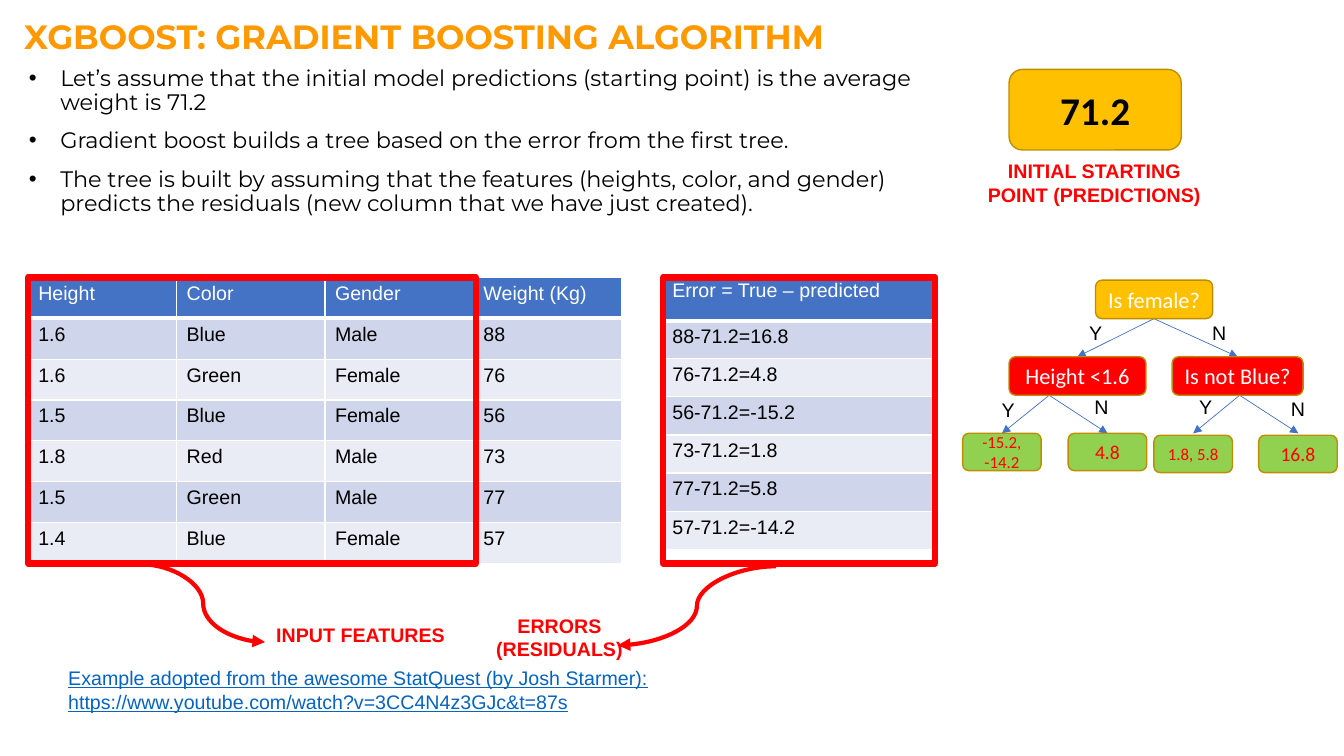
from dataclasses import dataclass
from typing import NamedTuple

from lxml import etree
from pptx import Presentation
from pptx import util as u
from pptx.dml import color as dml
from pptx.enum import shapes, text
from pptx.oxml import ns

RED, AMBER, GREEN, BLUE = "FF0000", "FFC000", "92D050", "4472C4"
WHITE, BLACK, GOLD, PALE, PALER = "FFFFFF", "000000", "BD8E00", "CFD5EA", "E9EBF5"

TITLE = {"name": "Montserrat", "size": u.Pt(24), "bold": True, "color": "FF9900"}
BULLET = {"name": "Montserrat", "size": u.Pt(16), "color": BLACK}
BODY = {"name": "Arial", "size": u.Pt(14), "bold": False, "color": BLACK}
HEADER = {**BODY, "color": WHITE}
CAPTION = {**BODY, "bold": True, "color": RED}
SOURCE = {**BODY, "underline": True, "color": "0563C1"}
QUESTION = {"name": "Calibri", "size": u.Pt(16), "color": WHITE}
LEAF = {**QUESTION, "size": u.Pt(14), "color": RED}
SMALL_LEAF = {**LEAF, "size": u.Pt(12)}
PREDICTION = {**QUESTION, "size": u.Pt(28), "bold": True, "color": BLACK}

CENTER = text.PP_ALIGN.CENTER


class Area(NamedTuple):
    """Left, top, width and height in centimetres."""
    left: float
    top: float
    width: float
    height: float

    def lengths(self) -> list:
        return [u.Cm(value) for value in self]


@dataclass
class Label:
    words: str
    area: Area
    style: dict
    align: text.PP_ALIGN | None = None
    wrap: bool = True


@dataclass
class Node:
    words: str
    area: Area
    fill: str
    style: dict


@dataclass
class Arrow:
    start: tuple
    end: tuple
    color: str = BLUE
    weight: float = 0.5
    kind: shapes.MSO_CONNECTOR = shapes.MSO_CONNECTOR.STRAIGHT


@dataclass
class Grid:
    left: float
    top: float
    column: float
    header: float
    row: float
    rows: list


def rgb(value: str) -> dml.RGBColor:
    return dml.RGBColor.from_string(value)


def add_child(parent, tag: str, **attributes: str):
    return etree.SubElement(parent, ns.qn(tag), attributes)


def format_font(font, style: dict) -> None:
    for key, value in style.items():
        if key == "color":
            font.color.rgb = rgb(value)
        else:
            setattr(font, key, value)


def write(frame, words: str, style: dict, align=None) -> None:
    for index, line in enumerate(words.split("\n")):
        para = frame.paragraphs[0] if index == 0 else frame.add_paragraph()
        para.alignment = align
        span = para.add_run()
        span.text = line
        format_font(span.font, style)


def draw_label(page, label: Label):
    frame = page.shapes.add_textbox(*label.area.lengths()).text_frame
    frame.word_wrap = label.wrap
    write(frame, label.words, label.style, label.align)
    return frame


def draw_bullets(page, label: Label) -> None:
    frame = draw_label(page, label)
    for index, para in enumerate(frame.paragraphs):
        para.line_spacing = 0.9
        if index:
            para.space_before = u.Pt(10)
        props = para._p.get_or_add_pPr()
        props.set("marL", str(u.Cm(0.79)))
        props.set("indent", str(-u.Cm(0.79)))
        add_child(add_child(props, "a:buClr"), "a:srgbClr", val=BLACK)
        add_child(props, "a:buFont", typeface="Arial")
        add_child(props, "a:buChar", char="•")


def draw_node(page, node: Node) -> None:
    box = page.shapes.add_shape(shapes.MSO_SHAPE.ROUNDED_RECTANGLE, *node.area.lengths())
    box.shadow.inherit = False
    box.fill.solid()
    box.fill.fore_color.rgb = rgb(node.fill)
    box.line.color.rgb = rgb(GOLD)
    box.line.width = u.Pt(1)
    box.text_frame.word_wrap = True
    box.text_frame.vertical_anchor = text.MSO_ANCHOR.MIDDLE
    write(box.text_frame, node.words, node.style, CENTER)


def draw_frame(page, area: Area) -> None:
    box = page.shapes.add_shape(shapes.MSO_SHAPE.RECTANGLE, *area.lengths())
    box.shadow.inherit = False
    box.fill.background()
    box.line.color.rgb = rgb(RED)
    box.line.width = u.Pt(4.5)


def draw_arrow(page, arrow: Arrow) -> None:
    ends = [u.Cm(value) for value in (*arrow.start, *arrow.end)]
    line = page.shapes.add_connector(arrow.kind, *ends)
    line.line.color.rgb = rgb(arrow.color)
    line.line.width = u.Pt(arrow.weight)
    add_child(line.line._get_or_add_ln(), "a:tailEnd", type="triangle")
    add_child(line._element.spPr, "a:effectLst")


def draw_borders(cell, bottom: float) -> None:
    props = cell._tc.get_or_add_tcPr()
    for side, weight in (("L", 1), ("R", 1), ("B", bottom)):
        edge = add_child(props, f"a:ln{side}", w=str(u.Pt(weight)))
        add_child(add_child(edge, "a:solidFill"), "a:srgbClr", val=WHITE)


def draw_grid(page, grid: Grid) -> None:
    columns, count = len(grid.rows[0]), len(grid.rows)
    area = Area(grid.left, grid.top, grid.column * columns, grid.header + grid.row * (count - 1))
    table = page.shapes.add_table(count, columns, *area.lengths()).table
    for column in table.columns:
        column.width = u.Cm(grid.column)
    for r, values in enumerate(grid.rows):
        table.rows[r].height = u.Cm(grid.row if r else grid.header)
        for c, value in enumerate(values):
            cell = table.cell(r, c)
            draw_borders(cell, 1 if r else 3)
            cell.fill.solid()
            cell.fill.fore_color.rgb = rgb((PALE if r % 2 else PALER) if r else BLUE)
            write(cell.text_frame, value, BODY if r else HEADER)


PEOPLE = [("1.6", "Blue", "Male", "88"), ("1.6", "Green", "Female", "76"),
          ("1.5", "Blue", "Female", "56"), ("1.8", "Red", "Male", "73"),
          ("1.5", "Green", "Male", "77"), ("1.4", "Blue", "Female", "57")]
ERRORS = ["16.8", "4.8", "-15.2", "1.8", "5.8", "-14.2"]
GRIDS = [
    Grid(0.71, 6.99, 3.74, 1.03, 1.03, [("Height", "Color", "Gender", "Weight (Kg)"), *PEOPLE]),
    Grid(16.69, 6.91, 6.88, 1.17, 0.96, [("Error = True – predicted",)]
         + [(f"{person[3]}-71.2={error}",) for person, error in zip(PEOPLE, ERRORS)]),
]
FRAMES = [Area(0.71, 6.99, 11.28, 7.21), Area(16.71, 6.99, 6.86, 7.21)]

HEADING = Label("XGBOOST: GRADIENT BOOSTING ALGORITHM", Area(0.48, 0.28, 22.86, 2.64), TITLE)
POINTS = Label(
    "Let’s assume that the initial model predictions (starting point) is the average weight is 71.2\n"
    "Gradient boost builds a tree based on the error from the first tree.\n"
    "The tree is built by assuming that the features (heights, color, and gender) predicts "
    "the residuals (new column that we have just created).", Area(0.48, 1.57, 23.77, 4.7), BULLET)
LABELS = [
    Label("ERRORS (RESIDUALS)", Area(11.51, 15.34, 5.18, 1.8), CAPTION, CENTER),
    Label("INPUT FEATURES", Area(6.5, 15.57, 5.18, 1.02), CAPTION, CENTER),
    Label("INITIAL STARTING POINT (PREDICTIONS)", Area(24.33, 3.89, 6.5, 1.8), CAPTION, CENTER),
    Label("Example adopted from the awesome StatQuest (by Josh Starmer): "
          "https://www.youtube.com/watch?v=3CC4N4z3GJc&t=87s", Area(1.47, 16.66, 16.26, 1.45), SOURCE),
] + [Label(answer, Area(left, top, 0.86, 1.02), BODY, wrap=False) for answer, left, top in (
    ("Y", 27.2, 7.95), ("N", 30.3, 7.95), ("Y", 24.99, 9.91),
    ("N", 27.33, 9.83), ("Y", 29.97, 9.83), ("N", 32.28, 9.88))]

NODES = [
    Node("71.2", Area(25.43, 1.75, 4.34, 2.03), AMBER, PREDICTION),
    Node("Is female?", Area(27.61, 7.06, 2.95, 0.97), AMBER, QUESTION),
    Node("Height <1.6", Area(25.43, 8.99, 3.45, 0.97), RED, QUESTION),
    Node("Is not Blue?", Area(29.54, 8.99, 3.3, 0.97), RED, QUESTION),
] + [Node(words, Area(left, top, 1.98, 0.94), GREEN, style) for words, left, top, style in (
    ("-15.2,\n-14.2", 24.26, 10.92, SMALL_LEAF), ("4.8", 26.92, 10.92, LEAF),
    ("1.8, 5.8", 29.08, 10.97, SMALL_LEAF), ("16.8", 31.72, 10.97, LEAF))]

CURVE = shapes.MSO_CONNECTOR.CURVE
BRANCHES = {(29.08, 8.03): [(27.15, 8.99), (31.19, 8.99)],
            (26.44, 9.96): [(25.25, 10.92), (27.91, 10.92)],
            (31.24, 9.96): [(30.07, 10.92), (32.72, 10.92)]}
ARROWS = [Arrow((3.56, 14.22), (6.68, 16.18), RED, 3, CURVE),
          Arrow((19.56, 14.27), (15.57, 16.26), RED, 3, CURVE)]
ARROWS += [Arrow(start, end) for start, ends in BRANCHES.items() for end in ends]


def main() -> None:
    deck = Presentation()
    deck.slide_width, deck.slide_height = u.Cm(33.87), u.Cm(19.05)
    page = deck.slides.add_slide(deck.slide_layouts[6])

    # Heading and bullets
    heading = draw_label(page, HEADING)
    heading.margin_left = heading.margin_right = u.Cm(0.13)
    draw_bullets(page, POINTS)

    # Tables, red frames, arrows, tree and captions
    for draw, items in ((draw_grid, GRIDS), (draw_frame, FRAMES), (draw_arrow, ARROWS),
                        (draw_node, NODES), (draw_label, LABELS)):
        for item in items:
            draw(page, item)
    deck.save("out.pptx")


if __name__ == "__main__":
    main()
